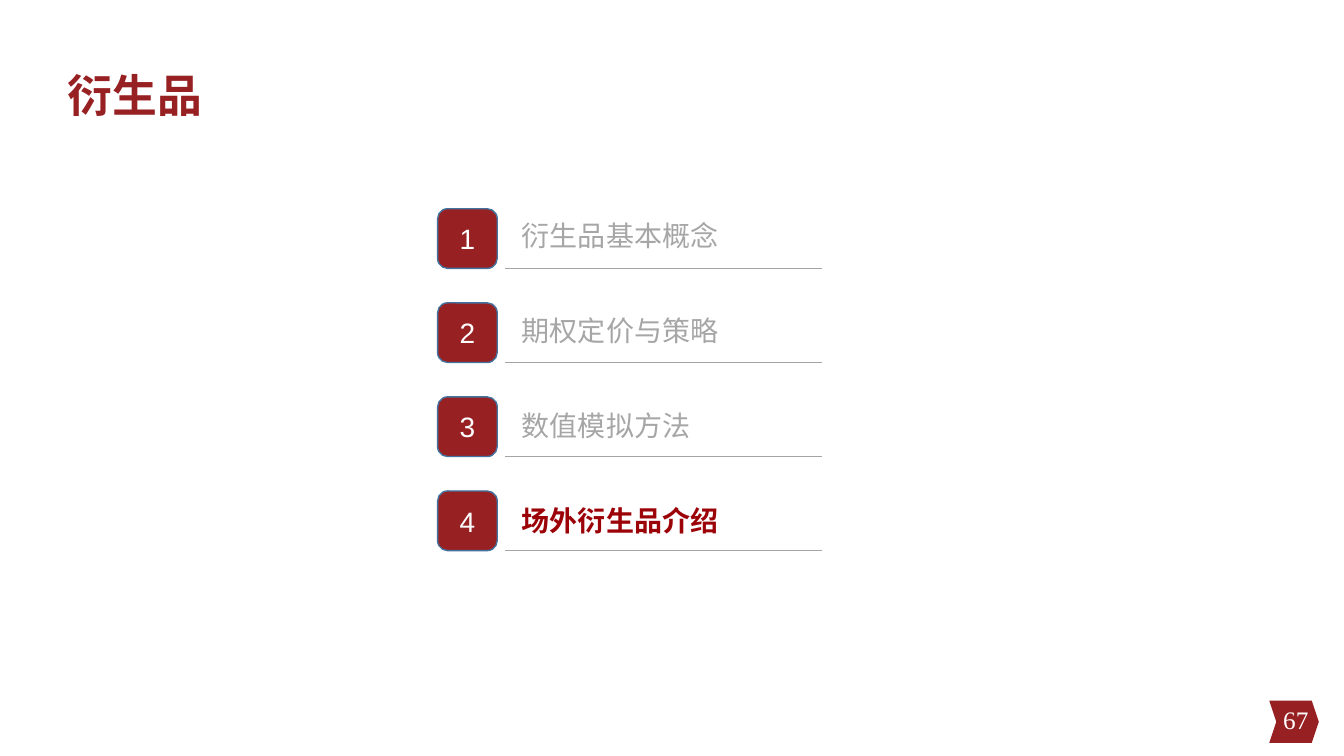
from pptx import Presentation
from pptx.dml.color import RGBColor
from pptx.enum.shapes import MSO_CONNECTOR, MSO_SHAPE
from pptx.enum.text import MSO_ANCHOR, MSO_AUTO_SIZE, PP_ALIGN
from pptx.oxml.ns import qn
from pptx.util import Inches, Pt
from lxml import etree

CHEVRON, ROUNDED = MSO_SHAPE.CHEVRON, MSO_SHAPE.ROUNDED_RECTANGLE
STRAIGHT = MSO_CONNECTOR.STRAIGHT
LEFT, CENTER, RIGHT = PP_ALIGN.LEFT, PP_ALIGN.CENTER, PP_ALIGN.RIGHT
TOP, MIDDLE = MSO_ANCHOR.TOP, MSO_ANCHOR.MIDDLE
NO_AUTOFIT = MSO_AUTO_SIZE.NONE

BRAND_RED = RGBColor(0x97, 0x20, 0x22)
ACTIVE_RED = RGBColor(0x9C, 0x03, 0x08)
BADGE_BORDER = RGBColor(0x43, 0x73, 0x9E)
MUTED = RGBColor(0xA6, 0xA6, 0xA6)
RULE_GRAY = RGBColor(0xA5, 0xA5, 0xA5)
WHITE = RGBColor(0xFF, 0xFF, 0xFF)

SERIF, SANS = "Times New Roman", "Arial"
COLUMNS, ROWS = 32, 18

CHAPTERS = ["衍生品基本概念", "期权定价与策略", "数值模拟方法", "场外衍生品介绍"]
ACTIVE_CHAPTER = 4
BADGE_LEFT, BADGE_TOP, BADGE_SIZE, BADGE_STEP = 10.42, 4.97, 1.42, 2.24
LABEL_LEFT, LABEL_TOP, LABEL_STEP = 12.19, 5.09, 2.26
RULE_START, RULE_END = 12.02, 19.58


class SlideBuilder:
    """Draws styled elements on a grid of columns and rows."""

    def __init__(self, presentation):
        self.column = presentation.slide_width / COLUMNS
        self.row = presentation.slide_height / ROWS
        self.slide = presentation.slides.add_slide(presentation.slide_layouts[5])

    def place(self, left, top, width, height):
        return (round(left * self.column), round(top * self.row),
                round(width * self.column), round(height * self.row))

    def fill_text(self, shape, text, size, color, font=SERIF, bold=False,
                  align=LEFT, anchor=TOP):
        frame = shape.text_frame
        frame.word_wrap = True
        frame.auto_size = NO_AUTOFIT
        frame.vertical_anchor = anchor
        paragraph = frame.paragraphs[0]
        paragraph.alignment = align
        run = paragraph.add_run()
        run.text = text
        run.font.name = font
        run.font.size = Pt(size)
        run.font.bold = bold
        run.font.color.rgb = color

    def title(self, text, *box):
        shape = self.slide.shapes.title
        shape.left, shape.top, shape.width, shape.height = self.place(*box)
        self.fill_text(shape, text, 32, BRAND_RED, bold=True)

    def text(self, text, *box, **style):
        shape = self.slide.shapes.add_textbox(*self.place(*box))
        self.fill_text(shape, text, **style)

    def shape(self, kind, *box, adjustment=0.167, border=None):
        shape = self.slide.shapes.add_shape(kind, *self.place(*box))
        shape.adjustments[0] = adjustment
        shape.shadow.inherit = False
        shape.fill.solid()
        shape.fill.fore_color.rgb = BRAND_RED
        if border is None:
            shape.line.fill.background()
        else:
            shape.line.color.rgb = border
            shape.line.width = Pt(1)
        return shape

    def badge(self, number, left, top, size):
        shape = self.shape(ROUNDED, left, top, size, size, border=BADGE_BORDER)
        self.fill_text(shape, str(number), 20, WHITE, font=SANS,
                       align=CENTER, anchor=MIDDLE)

    def rule(self, start, end, top):
        left, y, width, _ = self.place(start, top, end - start, 0)
        line = self.slide.shapes.add_connector(STRAIGHT, left, y, left + width, y)
        line.line.color.rgb = RULE_GRAY
        line.line.width = Pt(1)
        properties = line.element.find(qn("p:spPr"))
        etree.SubElement(properties, qn("a:effectLst"))


def main():
    presentation = Presentation()
    presentation.slide_width = Inches(13.33)
    presentation.slide_height = Inches(7.5)
    builder = SlideBuilder(presentation)

    # Title
    builder.title("衍生品", 1.37, 1.49, 27.6, 2.04)

    # Chapter list
    for index, chapter in enumerate(CHAPTERS):
        number = index + 1
        active = number == ACTIVE_CHAPTER
        badge_top = BADGE_TOP + index * BADGE_STEP
        builder.badge(number, BADGE_LEFT, badge_top, BADGE_SIZE)
        builder.rule(RULE_START, RULE_END, badge_top + BADGE_SIZE)
        builder.text(chapter, LABEL_LEFT, LABEL_TOP + index * LABEL_STEP, 11.69, 1.06,
                     size=20, color=ACTIVE_RED if active else MUTED, bold=active)

    # Page number
    builder.shape(CHEVRON, 30.22, 16.68, 1.18, 1.01)
    builder.text("67", 24.19, 16.66, 7.2, 0.96, size=18, color=WHITE,
                 align=RIGHT, anchor=MIDDLE)

    presentation.save("out.pptx")


if __name__ == "__main__":
    main()
